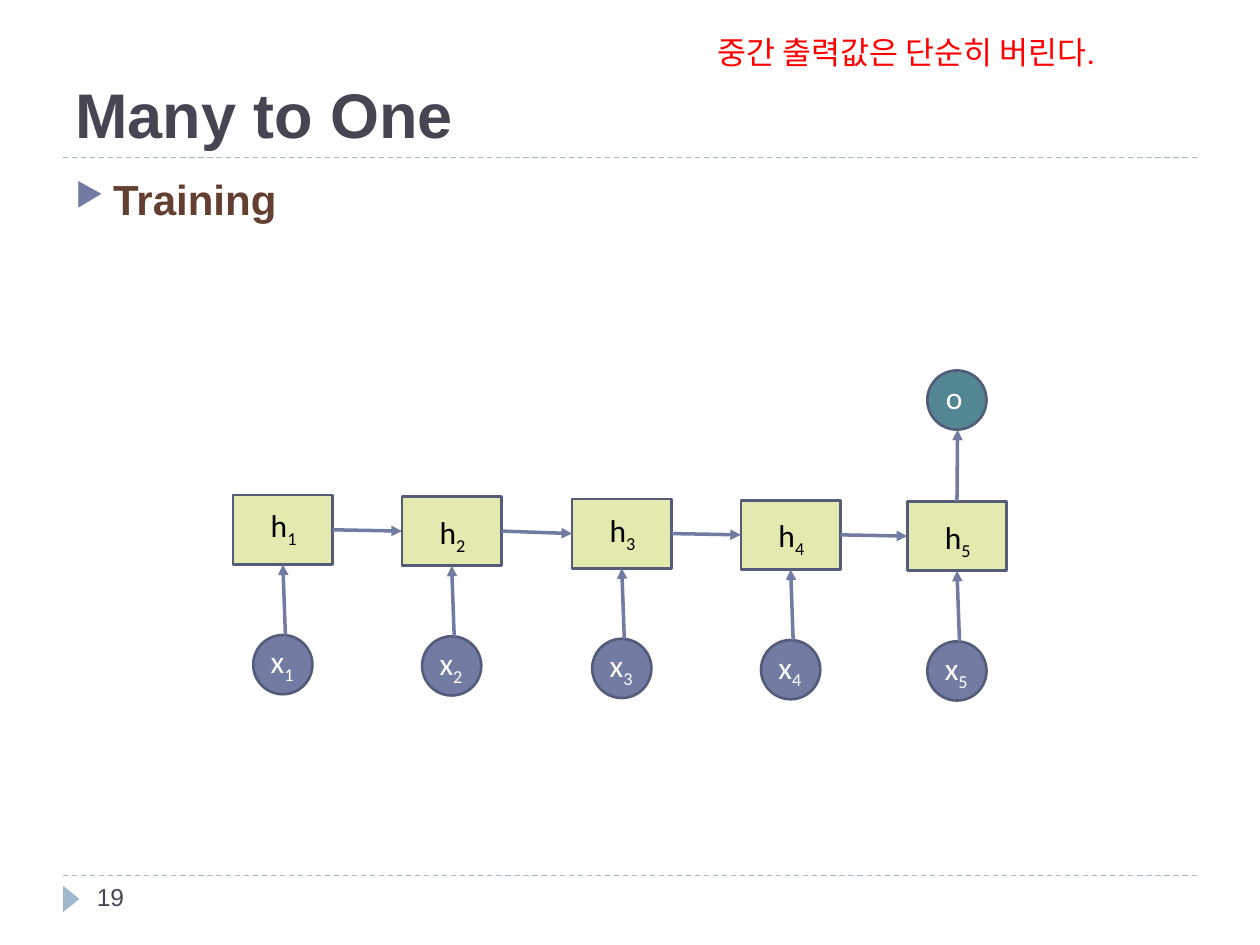
"""Build the "Many to One" recurrent network training slide."""
from lxml import etree
from pptx import Presentation
from pptx import util as u
from pptx.dml.color import RGBColor
from pptx.enum import dml, shapes, text
from pptx.oxml.ns import qn

COLORS = {
    "title": "464653", "heading": "633F32", "note": "FF0000",
    "rule": "9FB8CD", "accent": "727CA3", "outline": "545C79",
    "hidden": "E4E9AF", "output": "528693", "white": "FFFFFF", "black": "000000",
}


class SlideBuilder:
    """Hold the style and the current slide."""

    def __init__(self, slide):
        self.slide = slide

    def color(self, name):
        return RGBColor.from_string(COLORS[name])

    def add_text(self, box, words, size, color, font="Calibri", bold=False,
                 sub="", wrap=True, anchor=text.MSO_ANCHOR.TOP, bullet=None):
        area = self.slide.shapes.add_textbox(*map(u.Inches, box))
        frame = area.text_frame
        frame.word_wrap = wrap
        frame.vertical_anchor = anchor
        if not wrap:
            frame.auto_size = text.MSO_AUTO_SIZE.SHAPE_TO_FIT_TEXT
        paragraph = frame.paragraphs[0]
        if bullet:
            self.add_bullet(paragraph, bullet)
        paragraph.add_run().text = words
        if sub:
            index = paragraph.add_run()
            index.text = sub
            index._r.get_or_add_rPr().set("baseline", "-25000")
        paragraph.font.size = u.Pt(size)
        paragraph.font.name = font
        paragraph.font.bold = bold
        paragraph.font.color.rgb = self.color(color)

    def add_bullet(self, paragraph, symbol):
        props = paragraph._p.get_or_add_pPr()
        props.set("marL", str(u.Inches(0.3)))
        props.set("indent", str(-u.Inches(0.3)))
        tint = etree.SubElement(props, qn("a:buClr"))
        etree.SubElement(tint, qn("a:srgbClr")).set("val", COLORS["accent"])
        etree.SubElement(props, qn("a:buSzPct")).set("val", "76000")
        etree.SubElement(props, qn("a:buChar")).set("char", symbol)

    def draw(self, kind, box, fill, outline=None, rotation=0):
        figure = self.slide.shapes.add_shape(kind, *map(u.Inches, box))
        figure.shadow.inherit = False
        figure.rotation = rotation
        figure.fill.solid()
        figure.fill.fore_color.rgb = self.color(fill)
        if outline:
            figure.line.color.rgb = self.color(outline)
            figure.line.width = u.Pt(1.5)
        else:
            figure.line.fill.background()
        return figure

    def circle(self, left, top, fill):
        return self.draw(shapes.MSO_SHAPE.OVAL, (left, top, 0.47, 0.47), fill, "outline")

    def label(self, left, top, letter, color, sub="", width=0.41):
        self.add_text((left, top, width, 0.4), letter, 18, color, sub=sub, wrap=False)

    def line(self, start, end, color, width):
        link = self.slide.shapes.add_connector(
            shapes.MSO_CONNECTOR.STRAIGHT, *map(u.Inches, (*start, *end)))
        link.line.color.rgb = self.color(color)
        link.line.width = u.Pt(width)
        etree.SubElement(link._element.spPr, qn("a:effectLst"))
        return link

    def rule(self, top):
        self.line((0.5, top), (9.5, top), "rule", 0.75).line.dash_style = dml.MSO_LINE.DASH

    def arrow(self, start, end, source=None, target=None):
        link = self.line(start, end, "accent", 2)
        outline = link._element.spPr.find(qn("a:ln"))
        etree.SubElement(outline, qn("a:tailEnd")).set("type", "triangle")
        if source:
            link.begin_connect(*source)
        if target:
            link.end_connect(*target)


def main():
    deck = Presentation()
    deck.slide_width, deck.slide_height = u.Inches(10), u.Inches(7.5)
    page = SlideBuilder(deck.slides.add_slide(deck.slide_layouts[6]))

    page.rule(6.95)
    page.rule(1.25)
    page.draw(shapes.MSO_SHAPE.ISOSCELES_TRIANGLE, (0.46, 7.07, 0.21, 0.13), "rule", rotation=90)
    page.add_text((0.5, 0.17, 9, 1.08), "Many to One", 36, "title", "Arial", True,
                  anchor=text.MSO_ANCHOR.BOTTOM)
    page.add_text((0.67, 6.95, 2.17, 0.4), "19", 14, "title", "Arial")
    page.add_text((0.5, 1.33, 9, 5.4), "Training", 24, "heading", "Arial", True, bullet="▶")

    width, height = 0.79, 0.55
    steps = [(1.85, 3.93, 3.97), (3.19, 3.94, 4.02), (4.54, 3.96, 4.01),
             (5.88, 3.97, 4.05), (7.2, 3.98, 4.06)]
    previous = None
    for number, (left, top, label_top) in enumerate(steps, 1):
        center, input_top = left + width / 2, top + 1.11
        page.circle(left + 0.16, input_top, "accent")
        page.label(left + 0.2, input_top + 0.01, "x", "white", str(number))
        hidden = page.draw(shapes.MSO_SHAPE.RECTANGLE, (left, top, width, height),
                           "hidden", "outline")
        page.label(left + 0.2, label_top, "h", "black", str(number))
        page.arrow((center + 0.02, input_top), (center, top + height), target=(hidden, 2))
        if previous:
            page.arrow((left, top), (left, top), (previous, 3), (hidden, 1))
        previous = hidden

    page.circle(7.36, 2.94, "output")
    page.label(7.41, 2.95, "o", "white", width=0.34)
    page.arrow((7.6, 3.98), (7.6, 3.41), source=(previous, 0))
    page.add_text((5.6, 0.21, 3.5, 0.4), "중간 출력값은 단순히 버린다.", 18, "note", wrap=False)
    deck.save("out.pptx")


if __name__ == "__main__":
    main()
